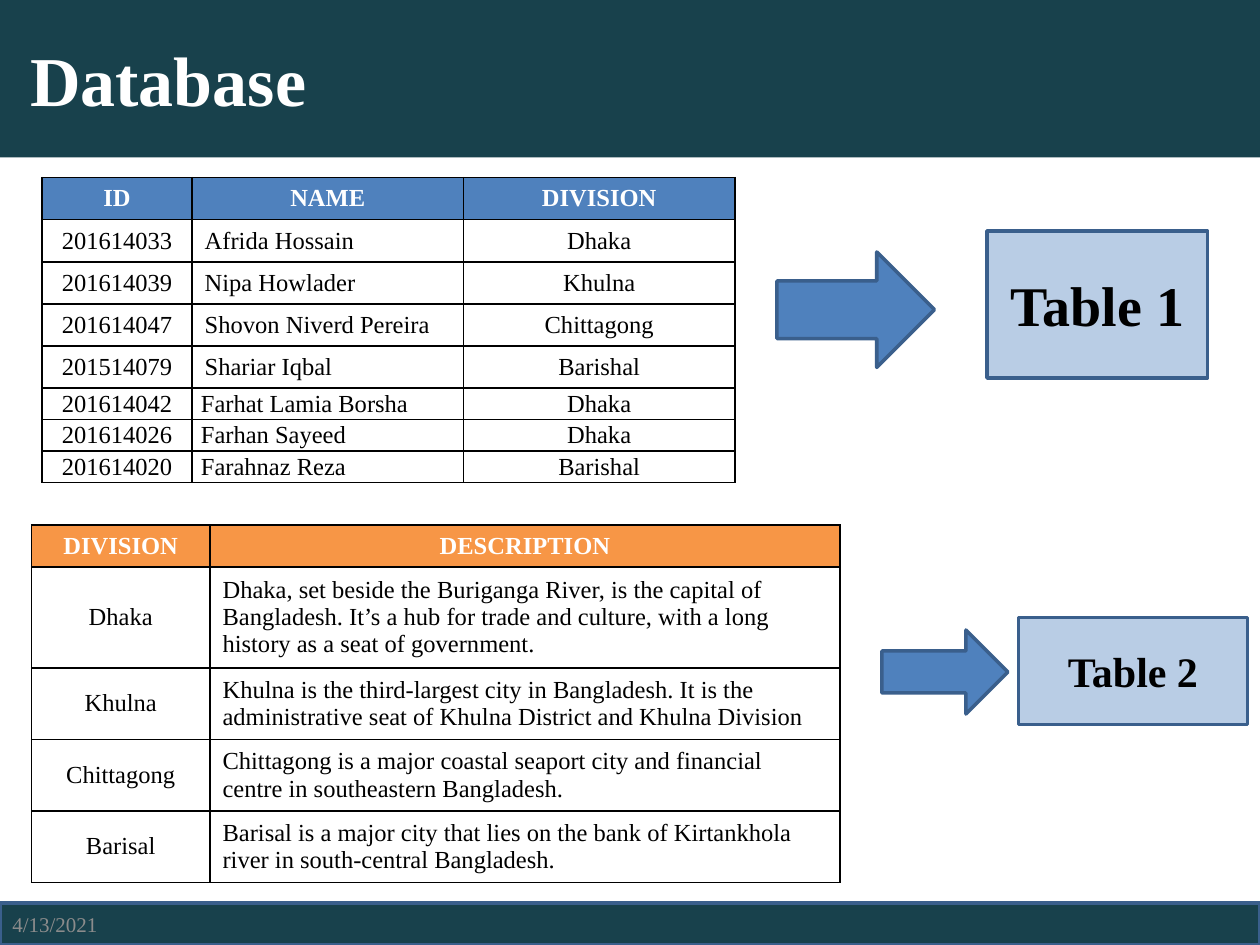
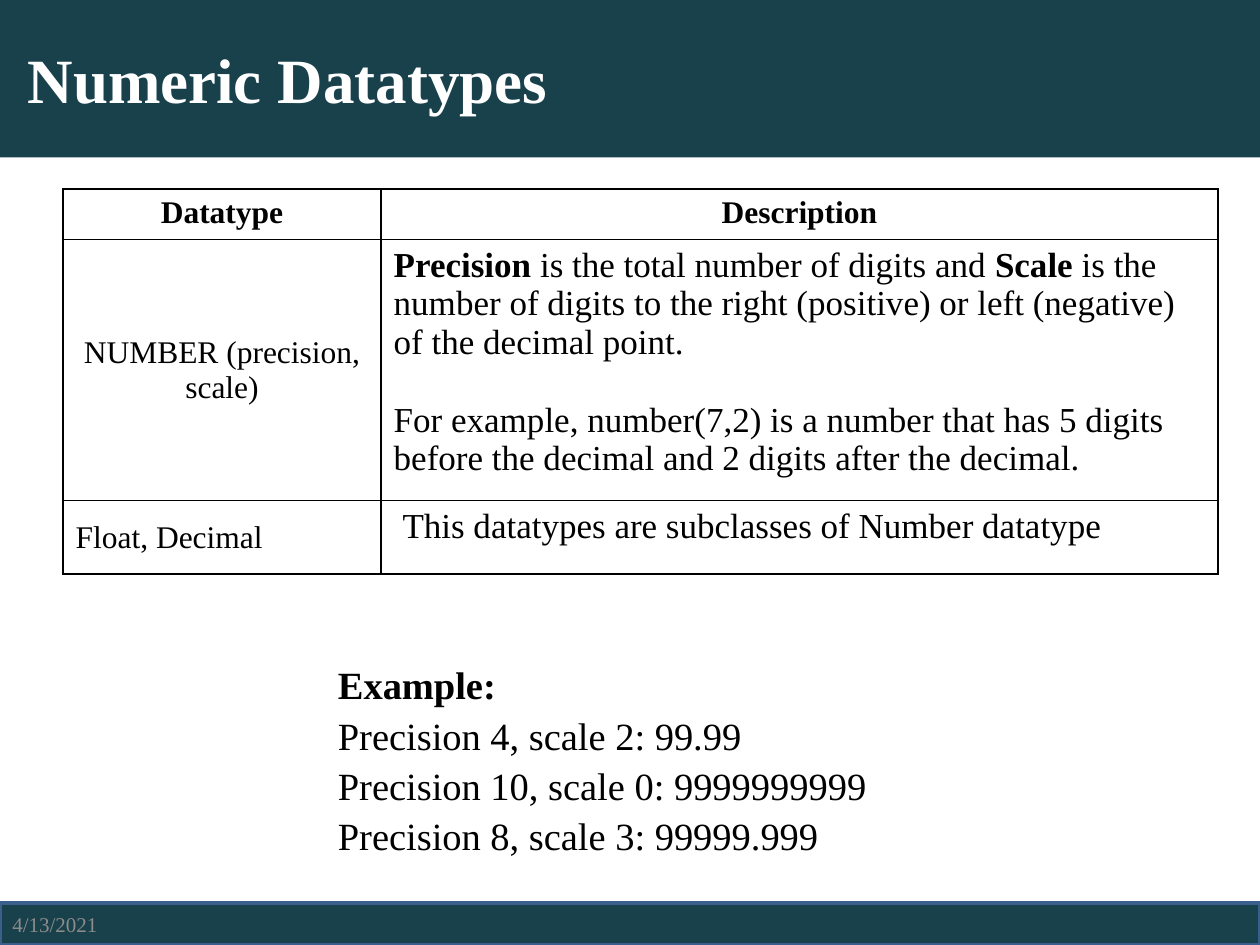
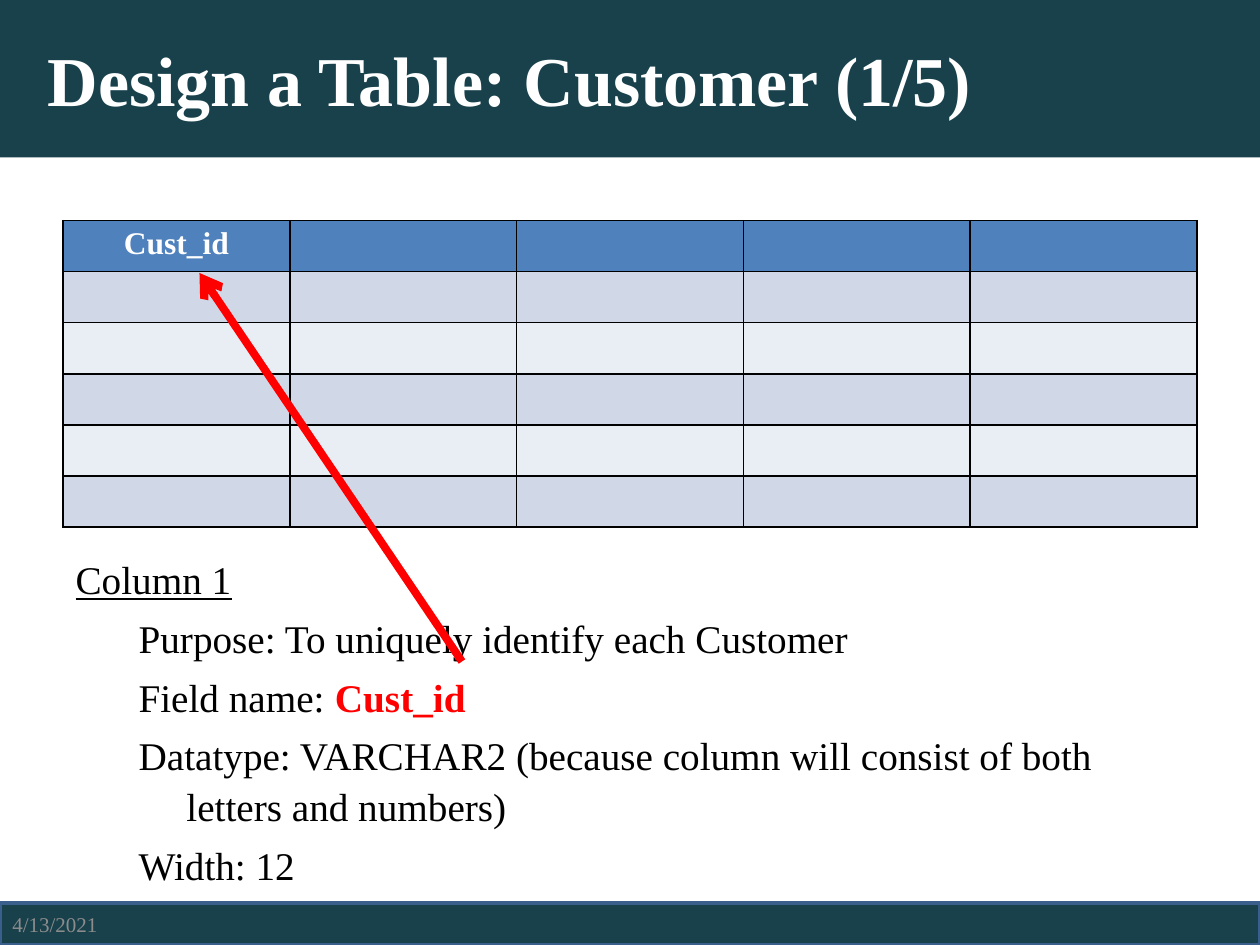
from lxml.etree import SubElement
from pptx import Presentation
from pptx.dml.color import RGBColor
from pptx.enum.shapes import MSO_CONNECTOR as Connector, MSO_SHAPE as Shape
from pptx.enum.text import MSO_ANCHOR as Anchor, MSO_AUTO_SIZE as AutoSize, PP_ALIGN as Align
from pptx.oxml import parse_xml
from pptx.oxml.ns import nsdecls, qn
from pptx.util import Inches, Pt

# Shared look
FONT = "Times New Roman"
DARK, WHITE, BLACK, GREY, RED = "18414C", "FFFFFF", "000000", "8C8C8C", "FF0000"
BLUE, ORANGE, PALE_BLUE, OUTLINE = "4F81BD", "F79646", "B9CDE5", "3A5F8C"
BANDS = ["D0D8E8", "E9EDF4"]

# The slide is a grid of 120 columns by 90 rows
COLUMNS, ROWS = 120, 90
WIDTH, HEIGHT = Inches(10), Inches(7.5)
BAND_TOP, BAND_ROWS, TITLE_ROWS = 86, 4, 15


def across(columns):
    return round(WIDTH * columns / COLUMNS)


def down(rows):
    return round(HEIGHT * rows / ROWS)


def area(left, top, columns, rows):
    return across(left), down(top), across(columns), down(rows)


def rgb(color):
    return RGBColor.from_string(color)


def write(frame, paragraphs, size=14, color=BLACK, bold=False, align=Align.LEFT,
          anchor=Anchor.TOP, before=0, spacing=None):
    """Fill a text frame; a paragraph is a string or a list of (text, run format)."""
    frame.word_wrap = True
    frame.vertical_anchor = anchor
    for number, content in enumerate(paragraphs):
        paragraph = frame.add_paragraph() if number else frame.paragraphs[0]
        paragraph.alignment = align
        paragraph.space_before = Pt(before if number else 0)
        if spacing:
            paragraph.line_spacing = spacing
        for text, extra in [(content, {})] if isinstance(content, str) else content:
            run = paragraph.add_run()
            run.text = text
            font = run.font
            font.name, font.size = FONT, Pt(size)
            font.bold = extra.get("bold", bold)
            font.underline = extra.get("underline", False)
            font.color.rgb = rgb(extra.get("color", color))


def add_block(slide, kind, place, fill=PALE_BLUE):
    block = slide.shapes.add_shape(kind, *area(*place))
    block.shadow.inherit = False
    block.fill.solid()
    block.fill.fore_color.rgb = rgb(fill)
    block.line.color.rgb = rgb(OUTLINE)
    block.line.width = Pt(2)
    return block


def add_label(slide, place, text, size):
    label = add_block(slide, Shape.RECTANGLE, place)
    write(label.text_frame, [text], size=size, bold=True, align=Align.CENTER,
          anchor=Anchor.MIDDLE)


def add_text(slide, place, paragraphs, **look):
    box = slide.shapes.add_textbox(*area(*place))
    write(box.text_frame, paragraphs, **look)


def add_master_band(deck, slide):
    """Draw the footer band and hand it to the master, so every slide shows it."""
    band = add_block(slide, Shape.RECTANGLE, (0, BAND_TOP, COLUMNS, BAND_ROWS), DARK)
    deck.slide_master.shapes._spTree.append(band._element)


def start_slide(deck, layout, title, size, inset):
    slide = deck.slides.add_slide(deck.slide_layouts.get_by_name(layout))
    heading = slide.shapes.title
    heading.left, heading.top, heading.width, heading.height = area(0, 0, COLUMNS, TITLE_ROWS)
    heading.fill.solid()
    heading.fill.fore_color.rgb = rgb(DARK)
    frame = heading.text_frame
    frame.auto_size = AutoSize.NONE
    frame.margin_left = Inches(inset)
    write(frame, [title], size=size, color=WHITE, bold=True, anchor=Anchor.MIDDLE)
    add_text(slide, (0, BAND_TOP, 28, BAND_ROWS), ["4/13/2021"], size=12, color=GREY,
             anchor=Anchor.MIDDLE)
    return slide


def paint_cell(cell, fill):
    if fill:
        cell.fill.solid()
        cell.fill.fore_color.rgb = rgb(fill)
    else:
        cell.fill.background()
    properties = cell._tc.get_or_add_tcPr()
    for position, side in enumerate(("lnL", "lnR", "lnT", "lnB")):
        properties.insert(position, parse_xml(
            f'<a:{side} {nsdecls("a")} w="12700"><a:solidFill>'
            f'<a:srgbClr val="{BLACK}"/></a:solidFill></a:{side}>'))


def add_grid(slide, left, top, widths, heights, header_fill=None, bands=(None,)):
    """Add an empty bordered table."""
    place = area(left, top, sum(widths), sum(heights))
    table = slide.shapes.add_table(len(heights), len(widths), *place).table
    for column, width in zip(table.columns, widths):
        column.width = across(width)
    for number, (row, height) in enumerate(zip(table.rows, heights)):
        row.height = down(height)
        for cell in row.cells:
            paint_cell(cell, bands[(number - 1) % len(bands)] if number else header_fill)
    return table


def fill_records(table, header, records, left_column):
    """Write a header and records, all centred but for one column."""
    for row, values in enumerate([header, *records]):
        for column, value in enumerate(values):
            left = row and column == left_column
            write(table.cell(row, column).text_frame, [value], bold=not row,
                  color=BLACK if row else WHITE, anchor=Anchor.MIDDLE,
                  align=Align.LEFT if left else Align.CENTER)
            table.cell(row, column).vertical_anchor = Anchor.MIDDLE


def add_pointer(slide, start, end):
    pointer = slide.shapes.add_connector(
        Connector.STRAIGHT, across(start[0]), down(start[1]), across(end[0]), down(end[1]))
    pointer.line.color.rgb = rgb(RED)
    pointer.line.width = Pt(4.5)
    SubElement(pointer.line._get_or_add_ln(), qn("a:tailEnd"), type="arrow")
    SubElement(pointer._element.spPr, qn("a:effectLst"))


STUDENTS = [
    ("201614033", "Afrida Hossain", "Dhaka"),
    ("201614039", "Nipa Howlader", "Khulna"),
    ("201614047", "Shovon Niverd Pereira", "Chittagong"),
    ("201514079", "Shariar Iqbal", "Barishal"),
    ("201614042", "Farhat Lamia Borsha", "Dhaka"),
    ("201614026", "Farhan Sayeed", "Dhaka"),
    ("201614020", "Farahnaz Reza", "Barishal"),
]
DIVISIONS = [
    ("Dhaka", "Dhaka, set beside the Buriganga River, is the capital of Bangladesh. It’s a hub "
              "for trade and culture, with a long history as a seat of government."),
    ("Khulna", "Khulna is the third-largest city in Bangladesh. It is the administrative seat "
               "of Khulna District and Khulna Division"),
    ("Chittagong", "Chittagong is a major coastal seaport city and financial centre in "
                   "southeastern Bangladesh."),
    ("Barisal", "Barisal is a major city that lies on the bank of Kirtankhola river in "
                "south-central Bangladesh."),
]


def build_database(deck):
    slide = start_slide(deck, "Title Only", "Database", 40, 0.24)
    add_master_band(deck, slide)

    # Students, the last three rows set tighter
    students = add_grid(slide, 4, 16.92, [14.3, 25.85, 25.85], [3.8] * 5 + [3] * 3, BLUE)
    fill_records(students, ("ID", "NAME", "DIVISION"), STUDENTS, 1)
    for row in range(5, 8):
        for column in range(3):
            cell = students.cell(row, column)
            cell.margin_left = cell.margin_right = Inches(0.07)
            cell.margin_top = cell.margin_bottom = 0

    # Divisions
    divisions = add_grid(slide, 3, 50, [17, 60], [3.75, 8.95] + [6.36] * 3, ORANGE)
    fill_records(divisions, ("DIVISION", "DESCRIPTION"), DIVISIONS, 1)

    # Arrows to the table names
    add_block(slide, Shape.RIGHT_ARROW, (74, 24, 15, 11), BLUE)
    add_label(slide, (94, 22, 21, 14), "Table 1", 32)
    add_block(slide, Shape.RIGHT_ARROW, (84, 60, 12, 8), BLUE)
    add_label(slide, (97, 58.8, 21.8, 10.2), "Table 2", 24)


def build_datatypes(deck):
    slide = start_slide(deck, "Title Only", "Numeric Datatypes", 36, 0.22)
    datatypes = add_grid(slide, 6, 18, [30.3, 79.7], [4.55, 23.4, 7])
    strong = {"bold": True}
    number_text = [
        [("Precision", strong), (" is the total number of digits and ", {}), ("Scale", strong),
         (" is the number of digits to the right (positive) or left (negative) of the "
          "decimal point.", {})],
        "For example, number(7,2) is a number that has 5 digits before the decimal and "
        "2 digits after the decimal.",
    ]
    for column, name in enumerate(("Datatype", "Description")):
        write(datatypes.cell(0, column).text_frame, [name], size=18, bold=True,
              align=Align.CENTER)
    names = [("NUMBER (precision, scale)", Align.CENTER), ("Float, Decimal", Align.LEFT)]
    for row, (name, align) in enumerate(names, 1):
        write(datatypes.cell(row, 0).text_frame, [name], size=18, align=align)
        datatypes.cell(row, 0).vertical_anchor = Anchor.MIDDLE
    write(datatypes.cell(1, 1).text_frame, number_text, size=20, before=22)
    subclasses = datatypes.cell(2, 1)
    subclasses.margin_left = Inches(0.17)
    write(subclasses.text_frame, ["This datatypes are subclasses of Number datatype"], size=20)

    # Worked example
    add_text(slide, (31, 62, 64, 23.4), [
        [("Example:", strong)],
        "Precision 4, scale 2: 99.99",
        "Precision 10, scale 0: 9999999999",
        "Precision 8, scale 3: 99999.999",
    ], size=22, spacing=1.09)


def build_customer(deck):
    slide = start_slide(deck, "Title and Content", "Design a Table: Customer (1/5)", 40, 0.38)
    customer = add_grid(slide, 6, 21, [21.6] * 5, [4.87] * 6, BLUE, BANDS)
    write(customer.cell(0, 0).text_frame, ["Cust_id"], size=18, color=WHITE, bold=True,
          align=Align.CENTER)

    # Column description with hanging indents
    description = slide.placeholders[1]
    (description.left, description.top,
     description.width, description.height) = area(6, 53, 108, 27.4)
    frame = description.text_frame
    frame.auto_size = AutoSize.NONE
    write(frame, [
        [("Column 1", {"underline": True})],
        "Purpose: To uniquely identify each Customer",
        [("Field name: ", {}), ("Cust_id", {"color": RED, "bold": True})],
        "Datatype: VARCHAR2 (because column will consist of both letters and numbers)",
        "Width: 12",
    ], size=22.4, before=4.5, spacing=1.08)
    for number, paragraph in enumerate(frame.paragraphs):
        paragraph.level = 1 if number else 0
        properties = paragraph._p.get_or_add_pPr()
        properties.set("marL", str(Inches(0.88 if number else 0.38)))
        properties.set("indent", str(-Inches(0.38)))
        SubElement(properties, qn("a:buNone"))
    frame.paragraphs[0].line_spacing = 0.85

    add_pointer(slide, (44, 63), (19, 26))


def main():
    deck = Presentation()
    deck.slide_width, deck.slide_height = WIDTH, HEIGHT
    build_database(deck)
    build_datatypes(deck)
    build_customer(deck)
    deck.save("out.pptx")


if __name__ == "__main__":
    main()
